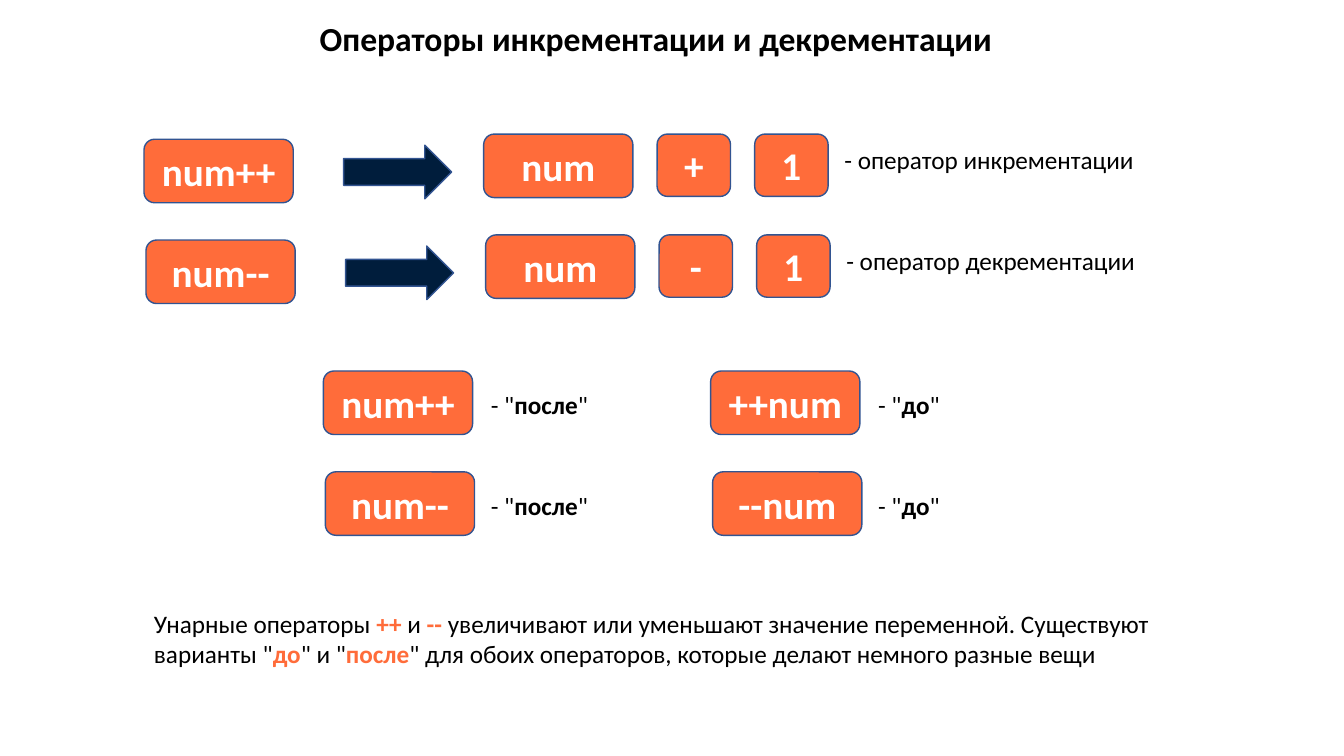
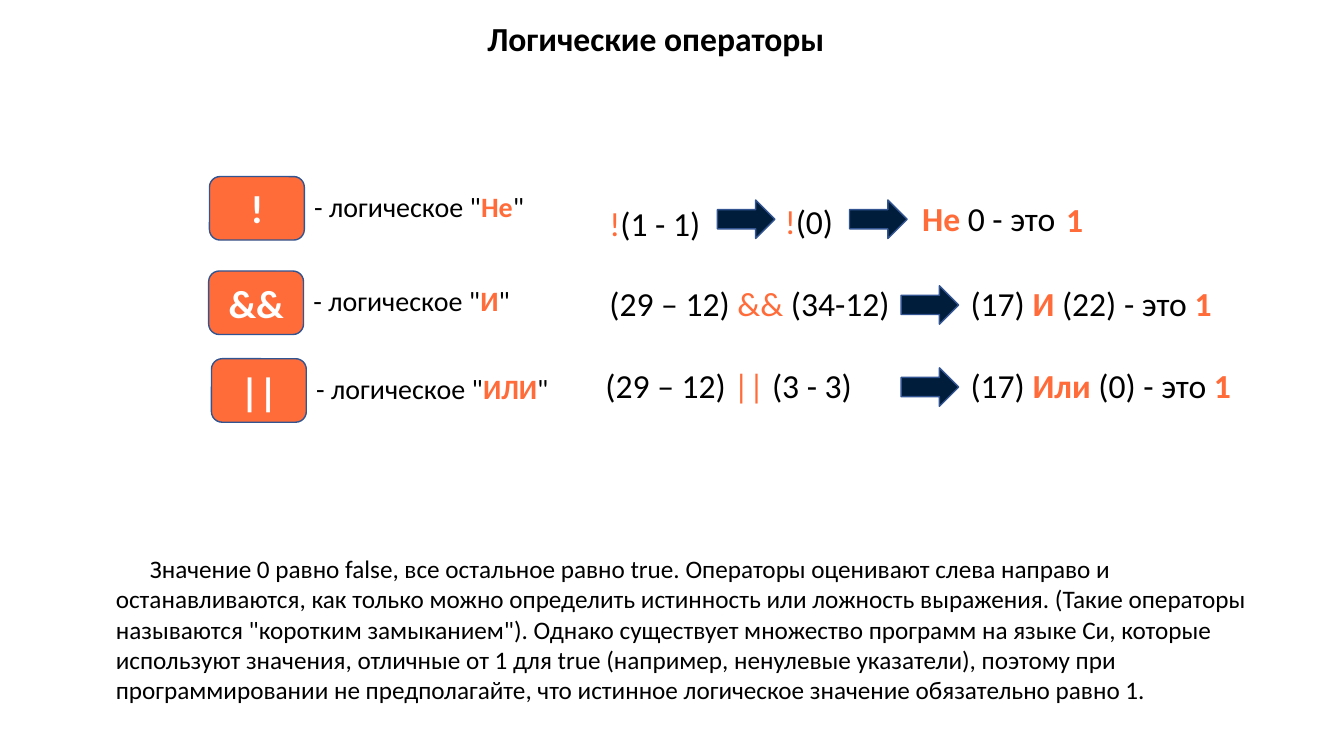
from pptx import Presentation
from pptx import util as u
from pptx.dml.color import RGBColor
from pptx.enum import shapes, text

FONT = "Calibri"
BLACK, WHITE = "000000", "FFFFFF"
ORANGE, NAVY, EDGE = "FF6C3A", "001D3C", "325491"
KIND = shapes.MSO_SHAPE
ALIGN = text.PP_ALIGN
ANCHOR = text.MSO_ANCHOR

# Run styles: colour and weight
PLAIN, BOLD = (BLACK, False), (BLACK, True)
TINT, MARK, KEY = (ORANGE, False), (ORANGE, True), (WHITE, True)

# Height of a key, size of an arrow
TALL = 1.6
ARROW = (1.45, 0.97)


def color(code):
    return RGBColor.from_string(code)


def place(part, x, y, w, h):
    part.left, part.top, part.width, part.height = map(u.Cm, (x, y, w, h))


def write(par, runs, size, align=ALIGN.LEFT):
    """Fill a paragraph with (words, style) runs."""
    par.alignment = align
    for words, (code, bold) in runs:
        run = par.add_run()
        run.text = words
        font = run.font
        font.name, font.size, font.bold = FONT, u.Pt(size), bold
        font.color.rgb = color(code)


def label(slide, x, y, w, h, size, *lines):
    """Text box with one paragraph for each list of runs."""
    box = slide.shapes.add_textbox(*map(u.Cm, (x, y, w, h)))
    frame = box.text_frame
    frame.word_wrap = True
    for num, runs in enumerate(lines):
        par = frame.add_paragraph() if num else frame.paragraphs[0]
        write(par, runs, size)
    return box


def solid(slide, kind, x, y, w, h, fill):
    shape = slide.shapes.add_shape(kind, *map(u.Cm, (x, y, w, h)))
    shape.shadow.inherit = False
    shape.fill.solid()
    shape.fill.fore_color.rgb = color(fill)
    shape.line.color.rgb = color(EDGE)
    shape.line.width = u.Pt(1)
    return shape


def key(slide, x, y, w, words, h=TALL):
    """Orange rounded key with centred code."""
    shape = solid(slide, KIND.ROUNDED_RECTANGLE, x, y, w, h, ORANGE)
    frame = shape.text_frame
    frame.word_wrap = True
    frame.vertical_anchor = ANCHOR.MIDDLE
    write(frame.paragraphs[0], [(words, KEY)], 28, ALIGN.CENTER)


def arrow(slide, x, y, w=ARROW[0], h=ARROW[1]):
    solid(slide, KIND.RIGHT_ARROW, x, y, w, h, NAVY)


def start(deck, words):
    """New title-only slide with its title set."""
    slide = deck.slides.add_slide(deck.slide_layouts[5])
    title = slide.shapes.title
    place(title, 4.95, 0.33, 23.16, 1.27)
    frame = title.text_frame
    frame.auto_size = text.MSO_AUTO_SIZE.NONE
    frame.word_wrap = True
    frame.vertical_anchor = ANCHOR.TOP
    write(frame.paragraphs[0], [(words, BOLD)], 24, ALIGN.CENTER)
    return slide


def step(slide, x, y, code, sign, name):
    """Row: short form, arrow, full form, name of the operator."""
    key(slide, x, y + 0.13, 3.76, code)
    arrow(slide, x + 5.03, y + 0.28, 2.72, 1.35)
    key(slide, x + 8.56, y, 3.76, "num")
    for dx, words in ((12.93, sign), (15.39, "1")):
        key(slide, x + dx, y, 1.85, words, 1.57)
    label(slide, x + 17.4, y + 0.13, 8.74, 1.02, 18,
          [("- оператор " + name, PLAIN)])


def pair(slide, x, y, codes, name):
    """Two stacked keys, each with the name of its position."""
    for num, code in enumerate(codes):
        top = y + num * 2.54
        key(slide, x + num * 0.05, top, 3.76, code)
        label(slide, x + 3.97, top + 0.33, 3.3, 1.02, 18,
              [('- "', PLAIN), (name, BOLD), ('"', PLAIN)])


def unary(deck):
    slide = start(deck, "Операторы инкрементации и декрементации")
    step(slide, 3.63, 3.38, "num++", "+", "инкрементации")
    step(slide, 3.68, 5.92, "num--", "-", "декрементации")
    pair(slide, 8.15, 9.35, ("num++", "num--"), "после")
    pair(slide, 17.91, 9.35, ("++num", "--num"), "до")
    # Summary
    label(slide, 3.63, 15.21, 29.34, 1.8, 18,
          [("Унарные операторы ", PLAIN), ("++ ", MARK), ("и ", PLAIN),
           ("-- ", MARK),
           ("увеличивают или уменьшают значение переменной. Существуют",
            PLAIN)],
          [('варианты "', PLAIN), ("до", MARK), ('" и "', PLAIN),
           ("после", MARK),
           ('" для обоих операторов, которые делают немного разные вещи',
            PLAIN)])


def term(slide, x, y, sign, name):
    """Operator key with its name."""
    key(slide, x, y, 2.39, sign)
    label(slide, x + 2.39, y + 0.2, 7, 1.12, 20,
          [('- логическое "', PLAIN), (name, MARK), ('"', PLAIN)])


def negate(slide, x, y):
    """Example of negation in two steps."""
    for dx, dy, w, runs in (
            (0, 0.08, 3.02, [("!", TINT), ("(1 - 1)", PLAIN)]),
            (4.42, 0.05, 1.98, [("!", TINT), ("(0)", PLAIN)]),
            (7.88, -0.05, 4.37, [("Не ", MARK), ("0 - это", PLAIN)]),
            (11.51, 0, 1.22, [("1", MARK)])):
        label(slide, x + dx, y + dy, w, 1.27, 24, runs)
    for dx in (2.97, 6.3):
        arrow(slide, x + dx, y + 0.14)


def binary(slide, x, y, sign, right, word, value, shift=0):
    """Example of an operator with two operands."""
    label(slide, x + shift, y, 8, 1.27, 24,
          [("(29 – 12) ", PLAIN), (sign + " ", TINT), (right, PLAIN)])
    arrow(slide, x + 7.6, y + 0.2)
    label(slide, x + 9.1, y, 7.49, 1.27, 24,
          [("(17) ", PLAIN), (word + " ", MARK),
           (f"({value}) - это ", PLAIN), ("1", MARK)])


def logic(deck):
    slide = start(deck, "Логические операторы")
    term(slide, 5.28, 4.45, "!", "Не")
    term(slide, 5.26, 6.83, "&&", "И")
    term(slide, 5.33, 9.04, "||", "ИЛИ")
    negate(slide, 15.11, 4.9)
    binary(slide, 15.11, 7, "&&", "(34-12)", "И", 22)
    binary(slide, 15.11, 9.07, "||", "(3 - 3)", "Или", 0, -0.1)
    # Explanation with an indented first line
    note = label(slide, 2.67, 13.82, 29.82, 4.11, 18, [(
        "Значение 0 равно false, все остальное равно true. Операторы "
        "оценивают слева направо и останавливаются, как только можно "
        "определить истинность или ложность выражения. (Такие операторы "
        'называются "коротким замыканием"). Однако существует множество '
        "программ на языке Си, которые используют значения, отличные от 1 "
        "для true (например, ненулевые указатели), поэтому при "
        "программировании не предполагайте, что истинное логическое "
        "значение обязательно равно 1.", PLAIN)])
    props = note.text_frame.paragraphs[0]._p.get_or_add_pPr()
    props.set("indent", str(u.Cm(0.86)))


def main():
    deck = Presentation()
    deck.slide_width, deck.slide_height = u.Cm(33.87), u.Cm(19.05)
    unary(deck)
    logic(deck)
    deck.save("out.pptx")


if __name__ == "__main__":
    main()
